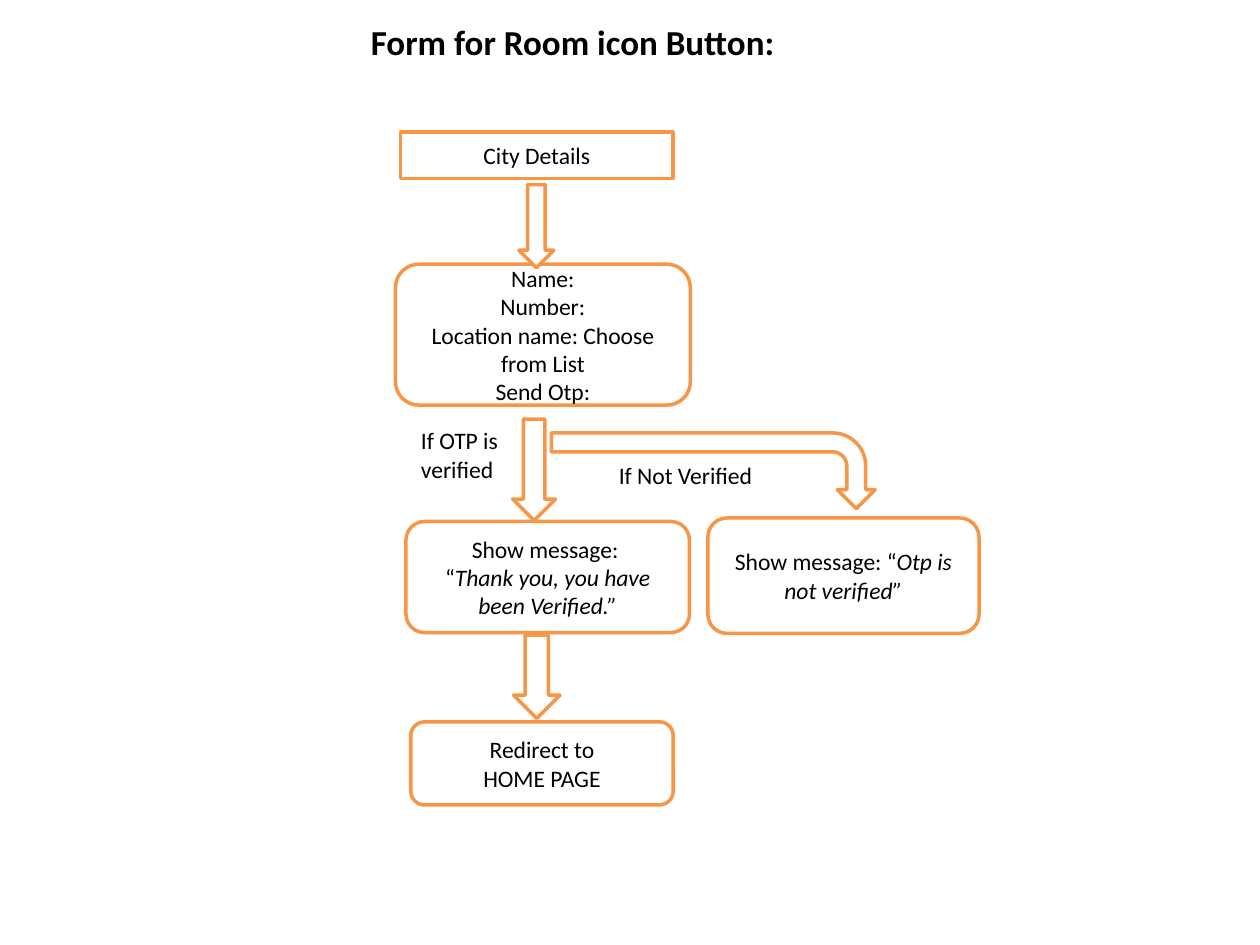
from pptx import Presentation
from pptx.dml.color import RGBColor
from pptx.enum import shapes as sh, text as tx
from pptx.util import Pt

HUES = {"ink": "000000", "fill": "FFFFFF", "edge": "F79646"}
FONT = "Calibri"
KIND = sh.MSO_SHAPE


def hue(name):
    return RGBColor.from_string(HUES[name])


def style(frame, size=13.5, bold=False, align=None):
    """Format every run of a text frame."""
    frame.word_wrap = True
    for para in frame.paragraphs:
        para.alignment = align
        for run in para.runs:
            run.font.name = FONT
            run.font.size = Pt(size)
            run.font.bold = bold
            run.font.color.rgb = hue("ink")


def shape(slide, kind, area, turn=0):
    """Add a white shape with an orange outline."""
    item = slide.shapes.add_shape(kind, *map(Pt, area))
    item.rotation = turn
    item.shadow.inherit = False
    item.fill.solid()
    item.fill.fore_color.rgb = hue("fill")
    item.line.color.rgb = hue("edge")
    item.line.width = Pt(2)
    return item


def box(slide, kind, area, words, quote=""):
    """Add a step of the flow; a quote follows the words in italics."""
    frame = shape(slide, kind, area).text_frame
    frame.text = words
    frame.vertical_anchor = tx.MSO_ANCHOR.MIDDLE
    if quote:
        run = frame.paragraphs[-1].add_run()
        run.text = quote
        run.font.italic = True
    style(frame, align=tx.PP_ALIGN.CENTER)


def label(slide, area, words):
    """Add a plain note beside an arrow."""
    frame = slide.shapes.add_textbox(*map(Pt, area)).text_frame
    frame.text = words
    style(frame)


def title(slide, area, words):
    """Place and format the title placeholder."""
    head = slide.shapes.title
    head.left, head.top, head.width, head.height = map(Pt, area)
    frame = head.text_frame
    frame.text = words
    frame.auto_size = tx.MSO_AUTO_SIZE.NONE
    frame.vertical_anchor = tx.MSO_ANCHOR.TOP
    style(frame, 20, True, tx.PP_ALIGN.CENTER)


def main():
    deck = Presentation()
    deck.slide_width, deck.slide_height = Pt(720), Pt(540)
    slide = deck.slides.add_slide(deck.slide_layouts[5])
    title(slide, (95, 8, 464.5, 31.5), "Form for Room icon Button:")

    # Steps of the flow
    plain, soft = KIND.RECTANGLE, KIND.ROUNDED_RECTANGLE
    box(slide, plain, (229, 75.5, 155.5, 26.5), "City Details")
    box(slide, soft, (226, 151, 168.5, 80.5),
        "Name:\nNumber:\nLocation name: Choose from List\nSend Otp:")
    box(slide, soft, (232, 298, 162, 63.5), "Show message: \n“",
        "Thank you, you have been Verified.”")
    box(slide, soft, (404.5, 296, 155, 66), "Show message: “",
        "Otp is not verified”")
    box(slide, soft, (234.75, 412.5, 150, 47.5), "Redirect to\nHOME PAGE")

    # Arrows between the steps
    for area in ((296.5, 105.5, 20, 47.5), (293, 239.5, 24.5, 58),
                 (293.5, 363, 26.5, 47.5)):
        shape(slide, KIND.DOWN_ARROW, area)
    shape(slide, KIND.BENT_ARROW, (386, 176.5, 43.2, 185), 90)

    # Branch conditions
    label(slide, (233.5, 240, 64, 40), "If OTP is verified")
    label(slide, (346.5, 260, 98.5, 24), "If Not Verified")

    deck.save("out.pptx")


if __name__ == "__main__":
    main()
